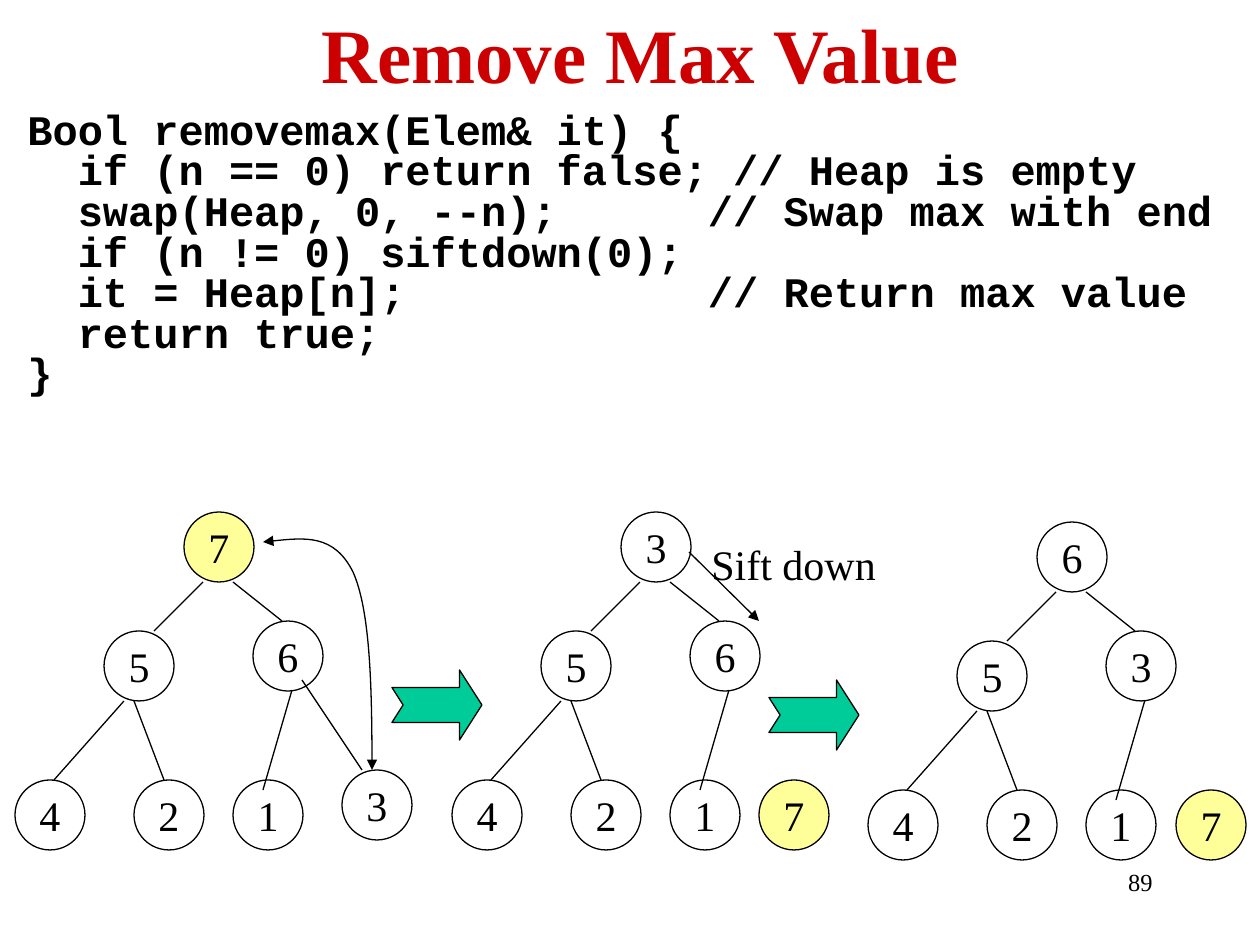
from dataclasses import dataclass

from pptx import Presentation
from pptx.dml.color import RGBColor as RGB
from pptx.enum.shapes import MSO_CONNECTOR as Link, MSO_SHAPE as Kind
from pptx.enum.text import MSO_ANCHOR as Anchor, PP_ALIGN as Align
from pptx.oxml.ns import qn
from pptx.util import Emu, Pt
from lxml.etree import SubElement as Sub


def px(n):
    return Emu(round(n * 914400 / 126))


@dataclass(frozen=True)
class Theme:
    ink: RGB = RGB(0, 0, 0)
    red: RGB = RGB(0xCC, 0, 0)
    gold: RGB = RGB(0xFF, 0xFF, 0x99)
    teal: RGB = RGB(0, 0xCC, 0x99)
    serif: str = "Times New Roman"
    mono: str = "Courier New"
    head: int = 44
    body: int = 24
    foot: int = 14
    line: float = 0.75


class Board:
    def __init__(self, slide, theme):
        self.slide, self.theme = slide, theme
        self.shapes = slide.shapes

    def group(self):
        self.shapes = self.slide.shapes.add_group_shape().shapes

    def ungroup(self):
        self.shapes = self.slide.shapes

    def letter(self, frame, lines, size=None, color=None, face=None, bold=False,
               align=Align.LEFT, anchor=Anchor.TOP, wrap=True, pitch=None, gap=None):
        t = self.theme
        frame.word_wrap, frame.vertical_anchor = wrap, anchor
        frame.text = "\n".join(lines)
        for para in frame.paragraphs:
            para.alignment = align
            para.line_spacing, para.space_before = pitch, gap
            font = para.font
            font.size, font.bold = Pt(size or t.body), bold
            font.name = face or t.serif
            font.color.rgb = color or t.ink

    def text(self, x, y, w, h, *lines, **style):
        box = self.shapes.add_textbox(px(x), px(y), px(w), px(h))
        self.letter(box.text_frame, lines, **style)

    def paint(self, shape, fill=None):
        shape.shadow.inherit = False
        if fill is None:
            shape.fill.background()
        else:
            shape.fill.solid()
            shape.fill.fore_color.rgb = fill
        self.stroke(shape)

    def stroke(self, shape, *ends):
        shape.line.color.rgb = self.theme.ink
        shape.line.width = Pt(self.theme.line)
        ln = shape._element.spPr.find(qn("a:ln"))
        for end in ends:
            Sub(ln, qn(f"a:{end}"), type="triangle")

    def node(self, x, y, label, fill=None):
        dot = self.shapes.add_shape(Kind.OVAL, px(x), px(y), px(70), px(70))
        self.paint(dot, fill)
        self.letter(dot.text_frame, [label], align=Align.CENTER,
                    anchor=Anchor.MIDDLE, wrap=False)

    def edge(self, x1, y1, x2, y2, *ends):
        line = self.shapes.add_connector(Link.STRAIGHT, px(x1), px(y1), px(x2), px(y2))
        self.stroke(line, *ends)
        Sub(line._element.spPr, qn("a:effectLst"))

    def arrow(self, x, y):
        shape = self.shapes.add_shape(Kind.NOTCHED_RIGHT_ARROW, px(x), px(y), px(90), px(70))
        shape.adjustments[0], shape.adjustments[1] = 0.5, 0.32
        self.paint(shape, self.theme.teal)

    def curve(self, start, *points):
        pen = self.shapes.build_freeform(px(start[0]), px(start[1]))
        pen.add_line_segments([(px(x), px(y)) for x, y in points], close=False)
        shape = pen.convert_to_shape()
        # Each three line points become one cubic segment
        steps = shape._element.xpath(".//a:lnTo")
        for i in range(0, len(steps), 3):
            cubic = Sub(steps[i].getparent(), qn("a:cubicBezTo"))
            for step in steps[i:i + 3]:
                cubic.append(step[0])
                step.getparent().remove(step)
        self.paint(shape)
        self.stroke(shape, "headEnd", "tailEnd")

    def tree(self, x, y, labels, top=None):
        self.group()
        for i, (label, (dx, dy)) in enumerate(zip(labels, NODES)):
            self.node(x + dx, y + dy, label, top if i == 0 else None)
        for x1, y1, x2, y2 in EDGES:
            self.edge(x + x1, y + y1, x + x2, y + y2)


# Tree layout, measured from the corner of the root
NODES = [(0, 0), (-80, 119), (69, 109), (-169, 268), (-50, 268), (49, 268)]
EDGES = [(19, 70, -30, 119), (-60, 189, -130, 268), (49, 70, 98, 109),
         (-50, 189, -20, 268), (108, 178, 79, 278)]

CODE = [
    "Bool removemax(Elem& it) {",
    "  if (n == 0) return false; // Heap is empty",
    "  swap(Heap, 0, --n);      // Swap max with end",
    "  if (n != 0) siftdown(0);",
    "  it = Heap[n];            // Return max value",
    "  return true;",
    "}",
]


def main():
    deck = Presentation()
    deck.slide_width, deck.slide_height = px(1260), px(945)
    t = Theme()
    b = Board(deck.slides.add_slide(deck.slide_layouts[6]), t)

    # Title and code
    b.text(105, 0, 1071, 106, "Remove Max Value", size=t.head, color=t.red,
           bold=True, align=Align.CENTER, anchor=Anchor.MIDDLE)
    b.text(15, 115, 1260, 427, *CODE, face=t.mono, bold=True, pitch=0.6, gap=Pt(5.9))

    # Heap before removal
    b.tree(184, 512, "756421", t.gold)
    b.node(342, 770, "3")
    b.edge(302, 680, 362, 770)
    b.ungroup()

    # Steps and swap
    b.arrow(392, 670)
    b.arrow(769, 680)
    b.curve((372, 770), (372, 690), (370, 610), (353, 572),
            (334, 534), (299, 538), (263, 542))

    # Heap after the swap
    b.tree(621, 512, "356421")
    b.edge(689, 552, 759, 621, "tailEnd")
    b.text(699, 532, 190, 63, "Sift down", wrap=False)
    b.node(759, 780, "7", t.gold)

    # Heap after sifting down
    b.tree(1037, 522, "653421")
    b.node(1176, 790, "7", t.gold)
    b.ungroup()

    # Page number
    b.text(903, 861, 262, 63, "89", size=t.foot, align=Align.RIGHT)

    deck.save("out.pptx")


if __name__ == "__main__":
    main()
